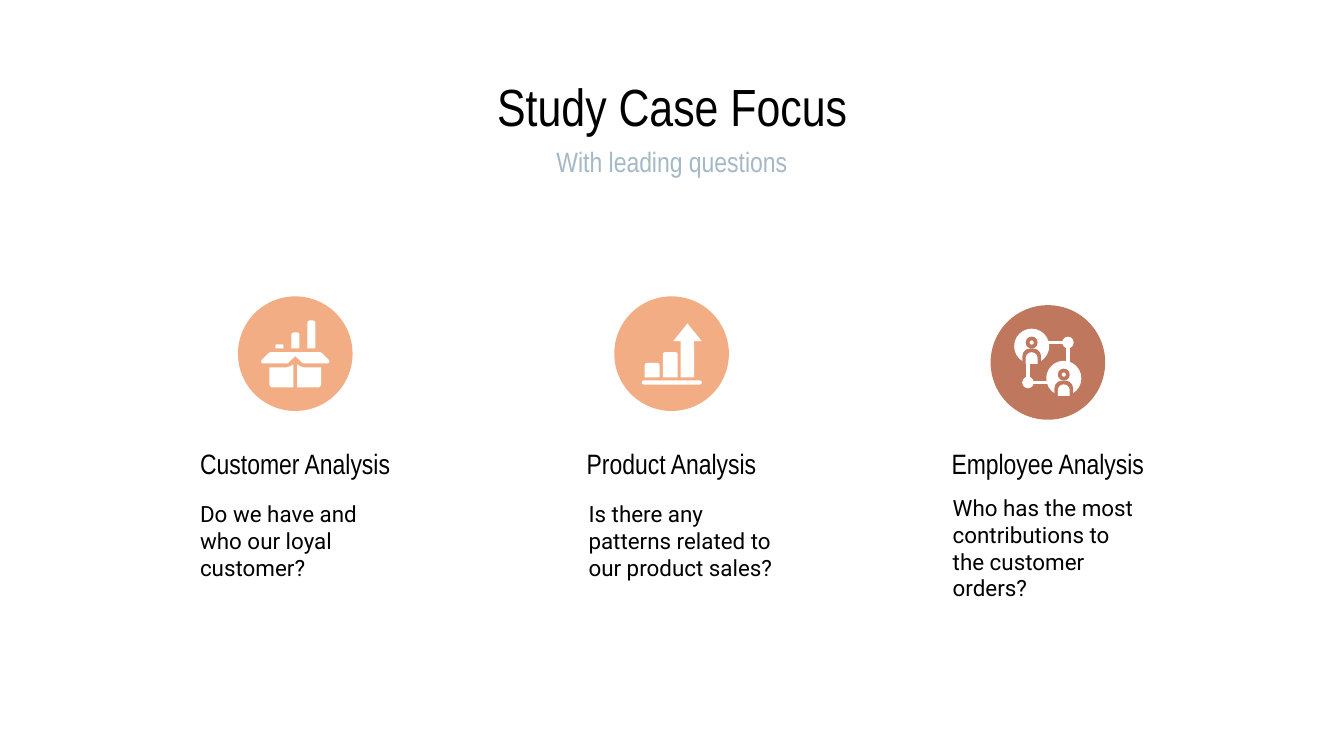
from lxml import etree
from pptx import Presentation
from pptx.dml.color import RGBColor
from pptx.enum.shapes import MSO_CONNECTOR, MSO_SHAPE
from pptx.enum.text import MSO_ANCHOR, PP_ALIGN
from pptx.oxml.ns import qn
from pptx.util import Pt

OVAL, BAR = MSO_SHAPE.OVAL, MSO_SHAPE.ROUNDED_RECTANGLE
TAB, ARROW = MSO_SHAPE.ROUND_2_SAME_RECTANGLE, MSO_SHAPE.UP_ARROW
LINE = MSO_CONNECTOR.STRAIGHT
TOP, MID = MSO_ANCHOR.TOP, MSO_ANCHOR.MIDDLE
LEFT, CENTER = PP_ALIGN.LEFT, PP_ALIGN.CENTER

COLORS = {"ink": "000000", "mute": "A5B8C6", "white": "FFFFFF",
          "peach": "F2AD85", "clay": "BF785E"}
HEAD, BODY = "Arial Narrow", "Roboto"
DISC = 61.4  # diameter of the icon discs


def color(name):
    return RGBColor.from_string(COLORS[name])


def add_text(slide, text, box, size=15, font=HEAD, ink="ink",
             align=CENTER, anchor=MID):
    frame = slide.shapes.add_textbox(*map(Pt, box)).text_frame
    frame.word_wrap = True
    frame.vertical_anchor = anchor
    frame.margin_left = frame.margin_right = Pt(7.2)
    frame.margin_top = frame.margin_bottom = Pt(7.2)
    para = frame.paragraphs[0]
    para.alignment = align
    run = para.add_run()
    run.text = text
    run.font.size = Pt(size)
    run.font.name = font
    run.font.color.rgb = color(ink)


def paint(shape, fill):
    shape.shadow.inherit = False
    shape.fill.solid()
    shape.fill.fore_color.rgb = color(fill)
    shape.line.fill.background()


def add_part(slide, kind, box, fill="white", adj=()):
    shape = slide.shapes.add_shape(kind, *map(Pt, box))
    for i, val in enumerate(adj):
        shape.adjustments[i] = val
    paint(shape, fill)


def add_dot(slide, x, y, r, fill="white"):
    add_part(slide, OVAL, (x - r, y - r, 2 * r, 2 * r), fill)


def add_poly(slide, x, y, points):
    spots = [(Pt(x + dx), Pt(y + dy)) for dx, dy in points]
    path = slide.shapes.build_freeform(*spots[0], scale=1.0)
    path.add_line_segments(spots[1:], close=True)
    paint(path.convert_to_shape(), "white")


def add_link(slide, *ends):
    link = slide.shapes.add_connector(LINE, *map(Pt, ends))
    link.line.color.rgb = color("white")
    link.line.width = Pt(2)
    etree.SubElement(link._element.spPr, qn("a:effectLst"))


def mirror(points):
    return [(DISC - x, y) for x, y in reversed(points)]


def draw_box(slide, x, y, fill):
    # Bars rising from the carton
    for i, top in enumerate((25.7, 19.3, 12.9)):
        add_part(slide, TAB, (x + 20.1 + 8.55 * i, y + top, 4.3, 27.8 - top),
                 adj=(0.3,))
    # Flaps, then the two halves below
    flap = [(30.7, 32), (26.6, 35.9), (13, 35.9), (12.4, 35.2),
            (12.6, 34.2), (16.6, 30.2), (17.6, 29.8)]
    add_poly(slide, x, y, flap + mirror(flap[1:]))
    half = [(29.7, 36.4), (28.1, 37.4), (26.2, 38), (16.9, 38),
            (16.9, 47.6), (17.9, 48.7), (29.7, 48.7)]
    for side in (half, mirror(half)):
        add_poly(slide, x, y, side)


def draw_growth(slide, x, y, fill):
    add_part(slide, BAR, (x + 14.7, y + 45, 32.2, 2.2), adj=(0.5,))
    for left, top in ((16.3, 35.6), (26, 29.9)):
        add_part(slide, TAB, (x + left, y + top, 8, 43.4 - top), adj=(0.15,))
    add_part(slide, ARROW, (x + 31.6, y + 14.5, 15.2, 28.9), adj=(0.48, 0.62))


def draw_person(slide, x, y, fill):
    add_dot(slide, x, y, 9.4)
    add_part(slide, TAB, (x - 5, y + 1.2, 10, 8.2), fill, (0.5,))
    add_part(slide, TAB, (x - 3.2, y + 3.2, 6.4, 6.2), adj=(0.5,))
    add_dot(slide, x, y - 2, 3.2, fill)
    add_dot(slide, x, y - 2, 1.1)


def draw_team(slide, x, y, fill):
    low, high = 20, 41.4
    for a, b, c, d in ((30, low, high, low), (high, low, high, 32),
                       (low, high, 31, high), (low, 29, low, high)):
        add_link(slide, x + a, y + b, x + c, y + d)
    add_dot(slide, x + high, y + low, 3.1)
    add_dot(slide, x + low, y + high, 3.1)
    for at in (22, 39.2):
        draw_person(slide, x + at, y + at, fill)


def draw_title(slide, x, y, w):
    add_text(slide, "Study Case Focus", (x, y, w, 38.2), size=28, anchor=TOP)
    add_text(slide, "With leading questions", (x, y + 39.6, w, 28.8),
             ink="mute")


def draw_topic(slide, x, y, w, icon, fill, drop, head, body, inset, tall):
    # Disc with its icon
    left, top = x + (w - DISC) / 2, y + drop
    add_part(slide, OVAL, (left, top, DISC, DISC), fill)
    icon(slide, left, top, fill)
    # Heading and question
    add_text(slide, head, (x, y + 75.2, w, 28.8))
    add_text(slide, body, (x + inset, y + 104, 116.6, tall), size=12,
             font=BODY, align=LEFT)


TOPICS = [
    (draw_box, "peach", 0, "Customer Analysis",
     "Do we have and who our loyal customer?", 20.9, 53.3),
    (draw_growth, "peach", 0, "Product Analysis",
     "Is there any patterns related to our product sales?", 27.4, 53.3),
    (draw_team, "clay", 4.7, "Employee Analysis",
     "Who has the most contributions to the customer orders?", 20.9, 61.2),
]


def main():
    deck = Presentation()
    deck.slide_width, deck.slide_height = Pt(720), Pt(405)
    slide = deck.slides.add_slide(deck.slide_layouts[6])
    draw_title(slide, 24.5, 32.4, 671)
    for i, topic in enumerate(TOPICS):
        draw_topic(slide, 79.2 + 201.6 * i, 158.8, 158, *topic)
    deck.save("out.pptx")


if __name__ == "__main__":
    main()
